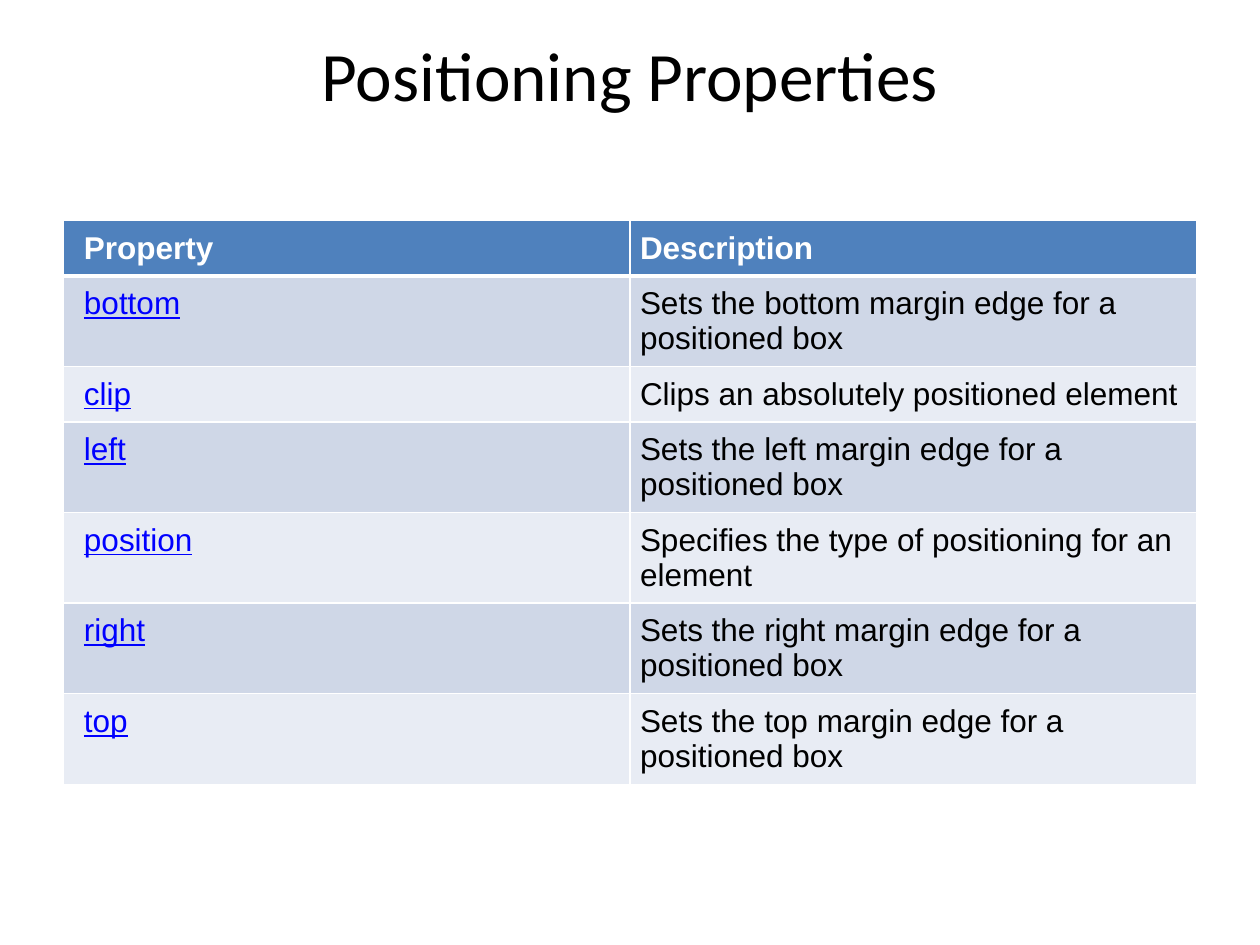
from dataclasses import dataclass

from lxml.etree import SubElement
from pptx import Presentation
from pptx.dml.color import RGBColor as Color
from pptx.enum.text import MSO_ANCHOR as Anchor, PP_ALIGN as Align
from pptx.oxml.ns import qn
from pptx.util import Pt


@dataclass(frozen=True)
class Theme:
    title_font: str = "Calibri"
    table_font: str = "Arial"
    title_size: float = 39.6
    table_size: float = 18
    text: str = "000000"
    link: str = "0000FF"
    header_text: str = "FFFFFF"
    header_fill: str = "4F81BD"
    bands: tuple = ("CFD7E7", "E8ECF4")
    border: str = "FFFFFF"
    border_width: float = 1
    header_rule: float = 3
    cell_margin: float = 5.75
    first_margin: float = 12


class SlideBuilder:
    def __init__(self, presentation, theme):
        self.theme = theme
        self.slide = presentation.slides.add_slide(presentation.slide_layouts[5])

    def format_font(self, paragraph, name, size, color, bold=False, underline=False):
        font = paragraph.font
        font.name, font.size = name, Pt(size)
        font.bold, font.underline = bold, underline
        font.color.rgb = Color.from_string(color)

    def title(self, text, left, top, width, height):
        theme, shape = self.theme, self.slide.shapes.title
        shape.left, shape.top = Pt(left), Pt(top)
        shape.width, shape.height = Pt(width), Pt(height)
        frame = shape.text_frame
        frame.text = text
        frame.vertical_anchor = Anchor.TOP
        frame.margin_top = 0
        paragraph = frame.paragraphs[0]
        paragraph.alignment = Align.CENTER
        self.format_font(paragraph, theme.title_font, theme.title_size, theme.text)

    def borders(self, cell, widths):
        properties = cell._tc.get_or_add_tcPr()
        for index, (side, width) in enumerate(widths.items()):
            line = SubElement(properties, qn(f"a:ln{side}"), w=str(Pt(width)))
            fill = SubElement(line, qn("a:solidFill"))
            SubElement(fill, qn("a:srgbClr"), val=self.theme.border)
            properties.insert(index, line)

    def cell(self, cell, text, row, column):
        theme = self.theme
        header, first = row == 0, column == 0
        cell.text = text
        cell.margin_left = Pt(theme.first_margin if first else theme.cell_margin)
        cell.margin_right = cell.margin_top = cell.margin_bottom = Pt(theme.cell_margin)
        cell.fill.solid()
        fill = theme.header_fill if header else theme.bands[(row - 1) % 2]
        cell.fill.fore_color.rgb = Color.from_string(fill)
        thin, thick = theme.border_width, theme.header_rule
        self.borders(cell, {
            "L": thin,
            "R": thin,
            "T": thick if row == 1 else thin,
            "B": thick if header else thin,
        })
        color = theme.header_text if header else theme.link if first else theme.text
        self.format_font(cell.text_frame.paragraphs[0], theme.table_font, theme.table_size,
                         color, bold=header, underline=first and not header)

    def table(self, rows, left, top, width, height, row_height):
        shape = self.slide.shapes.add_table(
            len(rows), len(rows[0]), Pt(left), Pt(top), Pt(width), Pt(height))
        for row, texts in enumerate(rows):
            shape.table.rows[row].height = Pt(row_height)
            for column, text in enumerate(texts):
                self.cell(shape.table.cell(row, column), text, row, column)
        shape.height = Pt(height)


def main():
    presentation = Presentation()
    presentation.slide_width, presentation.slide_height = Pt(720), Pt(540)
    builder = SlideBuilder(presentation, Theme())
    builder.title("Positioning Properties", 36, 18.5, 648, 90)
    edges = {name: f"Sets the {name} margin edge for a positioned box"
             for name in ("bottom", "left", "right", "top")}
    descriptions = {
        **edges,
        "clip": "Clips an absolutely positioned element",
        "position": "Specifies the type of positioning for an element",
    }
    rows = [("Property", "Description"), *sorted(descriptions.items())]
    builder.table(rows, left=36, top=126, width=648, height=236, row_height=29.5)
    presentation.save("out.pptx")


if __name__ == "__main__":
    main()
